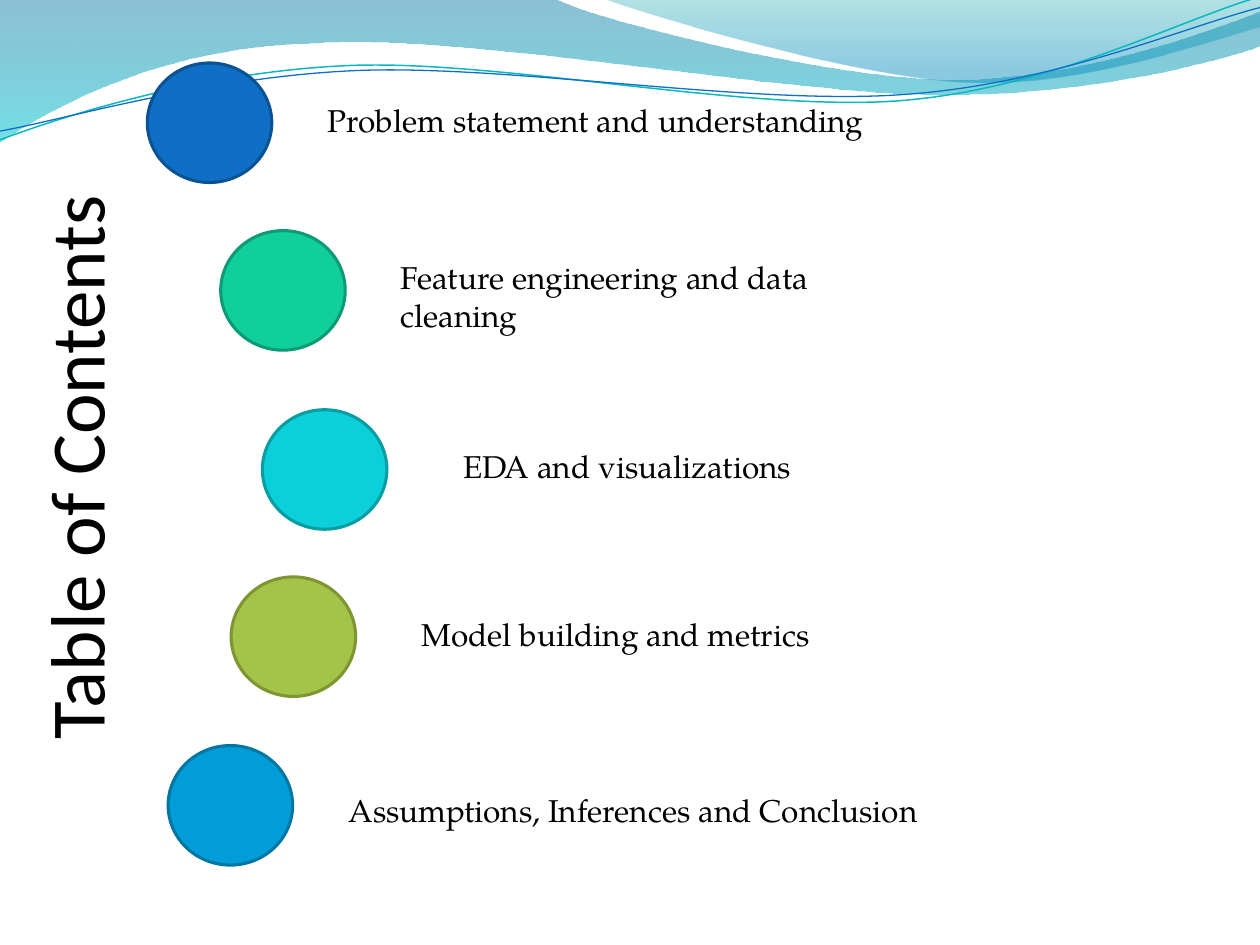
import math
import pptx
import pptx.util
import pptx.dml.color
import pptx.enum.shapes
import pptx.enum.text
import pptx.oxml
import pptx.oxml.ns

Cm, Pt = pptx.util.Cm, pptx.util.Pt
qn = pptx.oxml.ns.qn

theme = {
    "ink": "000000",
    "head": {"name": "Calibri", "size": Pt(44)},
    "body": {"name": "TeX Gyre Pagella", "size": Pt(18)},
    "edge": 1.75,
    "disc": [("0F6FC6", "0B5292"), ("10CF9B", "0C9B74"), ("0BD0D9", "089CA3"),
             ("A5C249", "7E9632"), ("009DD9", "0076A3")],
    "band": [[(0, "0074A1", 45), (1, "00C6CF", 55)],
             [(0, "00A1A9", 30), (0.8, "008BBF", 45)]],
    "wave": [("0AB8BF", 0.85), ("0F6FC6", 0.75)],
}

title = ("Table of Contents", (-5.18, 8.36, 13.34, 2.13))
topics = [
    ("Problem statement and understanding", (2.97, 1.27), (6.35, 1.91, 14.1)),
    ("Feature engineering and data cleaning", (4.45, 4.65), (7.82, 5.08, 11.23)),
    ("EDA and visualizations", (5.29, 8.26), (9.1, 8.89, 10.36)),
    ("Model building and metrics", (4.66, 11.63), (8.25, 12.27, 16.03)),
    ("Assumptions, Inferences and Conclusion", (3.39, 15.03), (6.78, 15.82, 12.5)),
]
disc_size = (2.51, 2.41)
row = 1.02

unit = Cm(0.0254)
bands = [
    [(0, 0), (440, -1), (476, 17, 664, 63, 758, 63), (853, 63, 958, 26, 1000, 9),
     (1001, 36), (983, 44, 870, 76, 746, 75), (622, 75, 382, 28, 257, 34),
     (129, 36, 46, 83, -1, 113)],
    [(479, -1), (509, 11, 682, 62, 769, 65), (856, 69, 961, 32, 1000, 21), (1000, 0)],
]
tilt = 357.3
waves = [
    ((499, 57.5), [(0, 111), (48, 93, 158, 57, 277, 52), (395, 47, 593, 89, 713, 80),
                   (833, 71, 938, 15, 998, -2)]),
    ((499.5, 59), [(0, 104), (47, 96, 164, 61, 283, 56), (403, 51, 597, 84, 717, 75),
                   (836, 67, 941, 21, 1000, 6)]),
]


def rgb(code):
    return pptx.dml.color.RGBColor.from_string(code)


def put(obj, opts):
    for key, val in opts.items():
        setattr(obj, key, val)


def spin(dot, mid, turn):
    ang = math.radians(-turn)
    x, y = dot[0] - mid[0], dot[1] - mid[1]
    return (mid[0] + x * math.cos(ang) - y * math.sin(ang),
            mid[1] + x * math.sin(ang) + y * math.cos(ang))


def draw(steps, close, mid=(0, 0), turn=0):
    dots = [spin(step[i:i + 2], mid, turn) for step in steps for i in range(0, len(step), 2)]
    dots = [(round(x * unit), round(y * unit)) for x, y in dots]
    pen = slide.shapes.build_freeform(*dots[0], scale=1.0)
    pen.add_line_segments(dots[1:], close=close)
    shape = pen.convert_to_shape()
    shape.shadow.inherit = False
    shape.rotation = turn
    lines = iter(list(shape.element.iter(qn("a:lnTo"))))
    for step in steps[1:]:
        line = next(lines)
        if len(step) == 6:
            curve = line.makeelement(qn("a:cubicBezTo"), {})
            line.addprevious(curve)
            for part in (line, next(lines), next(lines)):
                curve.append(part[0])
                part.getparent().remove(part)
    return shape


def edge(shape, code, width):
    shape.line.color.rgb = rgb(code)
    shape.line.width = Pt(width)


def write(words, box, font, frame, turn=0, align=pptx.enum.text.PP_ALIGN.LEFT):
    shape = slide.shapes.add_textbox(*map(Cm, box))
    shape.rotation = turn
    put(shape.text_frame, {"word_wrap": True, **frame})
    para = shape.text_frame.paragraphs[0]
    para.alignment = align
    run = para.add_run()
    run.text = words
    put(run.font, font)
    run.font.color.rgb = rgb(theme["ink"])


deck = pptx.Presentation()
put(deck, {"slide_width": Cm(25.4), "slide_height": Cm(19.05)})
slide = deck.slides.add_slide(deck.slide_layouts[6])

for steps, stops in zip(bands, theme["band"]):
    shape = draw(steps, True)
    shape.line.fill.background()
    shape.fill.gradient()
    shape.fill.gradient_angle = 270
    for stop, (place, code, alpha) in zip(shape.fill.gradient_stops, stops):
        stop.position = place
        stop.color.rgb = rgb(code)
    nodes = shape.element.spPr.iter(qn("a:srgbClr"))
    for node, (place, code, alpha) in zip(nodes, stops):
        node.append(node.makeelement(qn("a:alpha"), {"val": str(alpha * 1000)}))

for (mid, steps), (code, width) in zip(waves, theme["wave"]):
    shape = draw(steps, False, mid, tilt)
    shape.fill.background()
    edge(shape, code, width)

oval = pptx.enum.shapes.MSO_SHAPE.OVAL
grow = {"auto_size": pptx.enum.text.MSO_AUTO_SIZE.SHAPE_TO_FIT_TEXT}
for (words, spot, box), (fill, rim) in zip(topics, theme["disc"]):
    disc = slide.shapes.add_shape(oval, *map(Cm, spot + disc_size))
    disc.shadow.inherit = False
    disc.fill.solid()
    disc.fill.fore_color.rgb = rgb(fill)
    edge(disc, rim, theme["edge"])
    write(words, box + (row,), theme["body"], grow)

write(*title, theme["head"], {"vertical_anchor": pptx.enum.text.MSO_ANCHOR.MIDDLE},
      270, pptx.enum.text.PP_ALIGN.CENTER)

deck.save("out.pptx")
